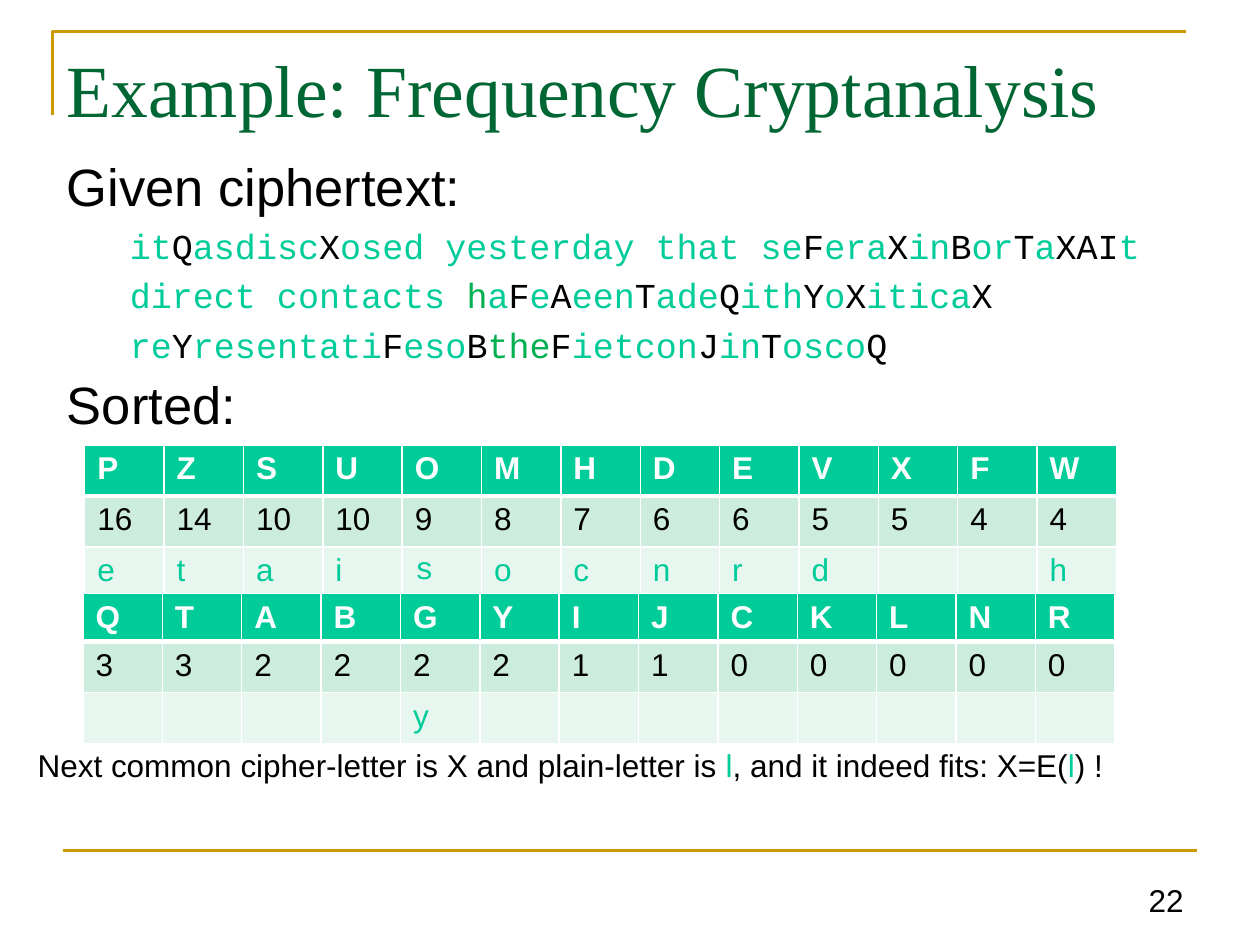
from dataclasses import dataclass
from itertools import groupby

from lxml import etree
from pptx import Presentation
from pptx.dml.color import RGBColor
from pptx.enum.shapes import MSO_CONNECTOR
from pptx.enum.text import MSO_ANCHOR, MSO_AUTO_SIZE, PP_ALIGN
from pptx.oxml.ns import qn
from pptx.util import Pt

STRAIGHT = MSO_CONNECTOR.STRAIGHT
TOP, BOTTOM = MSO_ANCHOR.TOP, MSO_ANCHOR.BOTTOM
LEFT, RIGHT = PP_ALIGN.LEFT, PP_ALIGN.RIGHT
NO_AUTOFIT = MSO_AUTO_SIZE.NONE

BLACK = RGBColor(0x00, 0x00, 0x00)
WHITE = RGBColor(0xFF, 0xFF, 0xFF)
GOLD = RGBColor(0xCC, 0x99, 0x00)
TITLE_GREEN = RGBColor(0x00, 0x66, 0x33)
PLAIN_GREEN = RGBColor(0x00, 0xCC, 0x99)
WORD_GREEN = RGBColor(0x00, 0xB0, 0x50)
COUNT_FILL = RGBColor(0xCC, 0xEC, 0xDE)
GUESS_FILL = RGBColor(0xE7, 0xF6, 0xEF)

SANS, SERIF, MONO = "Arial", "Times New Roman", "Courier New"
COLUMN_WIDTH = 45.36

# Capitals are still encrypted; asterisks enclose a recognised word.
CIPHER_LINES = (
    "itQasdiscXosed yesterday that seFeraXinBorTaXAIt",
    "direct contacts *h*aFeAeenTadeQithYoXiticaX",
    "reYresentatiFesoB*the*FietconJinToscoQ",
)


@dataclass(frozen=True)
class FrequencyTable:
    left: float
    top: float
    row_heights: tuple[float, ...]
    letters: str
    counts: tuple[int, ...]
    guesses: dict[str, str]


@dataclass(frozen=True)
class RowStyle:
    fill: RGBColor
    color: RGBColor
    bold: bool
    top_border: float
    bottom_border: float


TABLES = (
    FrequencyTable(48.4, 254.2, (29.2, 29.2, 29.2), "PZSUOMHDEVXFW",
                   (16, 14, 10, 10, 9, 8, 7, 6, 6, 5, 5, 4, 4),
                   dict(zip("PZSUOMHDEVW", "etaisocnrdh"))),
    FrequencyTable(47.4, 339.1, (24, 29.2, 29.2), "QTABGYIJCKLNR",
                   (3, 3, 2, 2, 2, 2, 1, 1, 0, 0, 0, 0, 0), {"G": "y"}),
)
ROW_STYLES = (
    RowStyle(PLAIN_GREEN, WHITE, True, 1, 3),
    RowStyle(COUNT_FILL, BLACK, False, 3, 1),
    RowStyle(GUESS_FILL, PLAIN_GREEN, False, 1, 1),
)


def add_run(paragraph, text: str, *, size: float = 18, font: str = SANS,
            color: RGBColor = BLACK, bold: bool = False) -> None:
    run = paragraph.add_run()
    run.text = text
    run.font.size = Pt(size)
    run.font.name = font
    run.font.color.rgb = color
    run.font.bold = bold


def place(shape, left: float, top: float, width: float, height: float) -> None:
    shape.left, shape.top = Pt(left), Pt(top)
    shape.width, shape.height = Pt(width), Pt(height)


def format_body_paragraph(paragraph, level: int, margin: float,
                          indent: float, space_before: float) -> None:
    paragraph.level = level
    paragraph.line_spacing = 0.9
    paragraph.space_before = Pt(space_before)
    properties = paragraph._p.get_or_add_pPr()
    properties.set("marL", str(Pt(margin)))
    properties.set("indent", str(Pt(indent)))
    etree.SubElement(properties, qn("a:buNone"))


def add_cipher_runs(paragraph, line: str) -> None:
    for index, part in enumerate(line.split("*")):
        for encrypted, letters in groupby(part, str.isupper):
            known_color = WORD_GREEN if index % 2 else PLAIN_GREEN
            add_run(paragraph, "".join(letters), size=20, font=MONO,
                    color=BLACK if encrypted else known_color)


def fill_title(title) -> None:
    place(title, 31, 21.6, 653, 108)
    frame = title.text_frame
    frame.vertical_anchor = TOP
    frame.auto_size = NO_AUTOFIT
    paragraph = frame.paragraphs[0]
    paragraph.alignment = LEFT
    add_run(paragraph, "Example: Frequency Cryptanalysis",
            size=42, font=SERIF, color=TITLE_GREEN)


def fill_body(body) -> None:
    place(body, 31, 88.6, 678, 165.6)
    frame = body.text_frame
    frame.auto_size = NO_AUTOFIT
    heading = frame.paragraphs[0]
    cipher_paragraphs = [frame.add_paragraph() for _ in CIPHER_LINES]
    closing = frame.add_paragraph()
    for paragraph, text in ((heading, "Given ciphertext:"), (closing, "Sorted:")):
        format_body_paragraph(paragraph, 0, 27, -27, 7.5)
        add_run(paragraph, text, size=30)
    for paragraph, line in zip(cipher_paragraphs, CIPHER_LINES):
        format_body_paragraph(paragraph, 1, 58.5, -22.5, 6.5)
        add_cipher_runs(paragraph, line)


def add_border(cell, side: str, width: float) -> None:
    line = etree.SubElement(cell._tc.get_or_add_tcPr(), qn(f"a:ln{side}"),
                            w=str(Pt(width)))
    fill = etree.SubElement(line, qn("a:solidFill"))
    etree.SubElement(fill, qn("a:srgbClr"), val=str(WHITE))


def format_cell(cell, text: str, style: RowStyle, font: str) -> None:
    borders = {"L": 1, "R": 1, "T": style.top_border, "B": style.bottom_border}
    for side, width in borders.items():
        add_border(cell, side, width)
    cell.fill.solid()
    cell.fill.fore_color.rgb = style.fill
    if text:
        add_run(cell.text_frame.paragraphs[0], text, font=font,
                color=style.color, bold=style.bold)


def add_frequency_table(slide, data: FrequencyTable) -> None:
    columns = len(data.letters)
    table = slide.shapes.add_table(
        len(data.row_heights), columns, Pt(data.left), Pt(data.top),
        Pt(columns * COLUMN_WIDTH), Pt(sum(data.row_heights))).table
    for column in table.columns:
        column.width = Pt(COLUMN_WIDTH)
    for row, height in zip(table.rows, data.row_heights):
        row.height = Pt(height)
    guesses = [data.guesses.get(letter, "") for letter in data.letters]
    contents = (data.letters, map(str, data.counts), guesses)
    for row, texts, style in zip(table.rows, contents, ROW_STYLES):
        for cell, text in zip(row.cells, texts):
            format_cell(cell, text, style, MONO if text == "s" else SANS)


def add_frame_lines(slide) -> None:
    builder = slide.shapes.build_freeform(Pt(30), Pt(66), scale=1.0)
    builder.add_line_segments([(Pt(30), Pt(18)), (Pt(678), Pt(18))], close=False)
    corner = builder.convert_to_shape()
    corner.fill.background()
    corner.shadow.inherit = False
    footer = slide.shapes.add_connector(STRAIGHT, Pt(36), Pt(486), Pt(684), Pt(486))
    etree.SubElement(footer._element.spPr, qn("a:effectLst"))
    for shape in (corner, footer):
        shape.line.color.rgb = GOLD
        shape.line.width = Pt(1.5)


def add_caption(slide) -> None:
    box = slide.shapes.add_textbox(Pt(14.4), Pt(422.6), Pt(629.3), Pt(29))
    box.text_frame.word_wrap = False
    paragraph = box.text_frame.paragraphs[0]
    caption = "Next common cipher-letter is X and plain-letter is *l*, and it indeed fits: X=E(*l*) !"
    for index, part in enumerate(caption.split("*")):
        add_run(paragraph, part, color=PLAIN_GREEN if index % 2 else BLACK)


def add_page_number(slide) -> None:
    box = slide.shapes.add_textbox(Pt(645), Pt(493), Pt(38.4), Pt(35.3))
    box.text_frame.word_wrap = True
    box.text_frame.vertical_anchor = BOTTOM
    paragraph = box.text_frame.paragraphs[0]
    paragraph.alignment = RIGHT
    add_run(paragraph, "22")


def main() -> None:
    presentation = Presentation()
    presentation.slide_width, presentation.slide_height = Pt(720), Pt(540)
    slide = presentation.slides.add_slide(presentation.slide_layouts[1])
    add_frame_lines(slide)
    fill_title(slide.shapes.title)
    fill_body(slide.placeholders[1])
    for data in TABLES:
        add_frequency_table(slide, data)
    add_caption(slide)
    add_page_number(slide)
    presentation.save("out.pptx")


if __name__ == "__main__":
    main()
